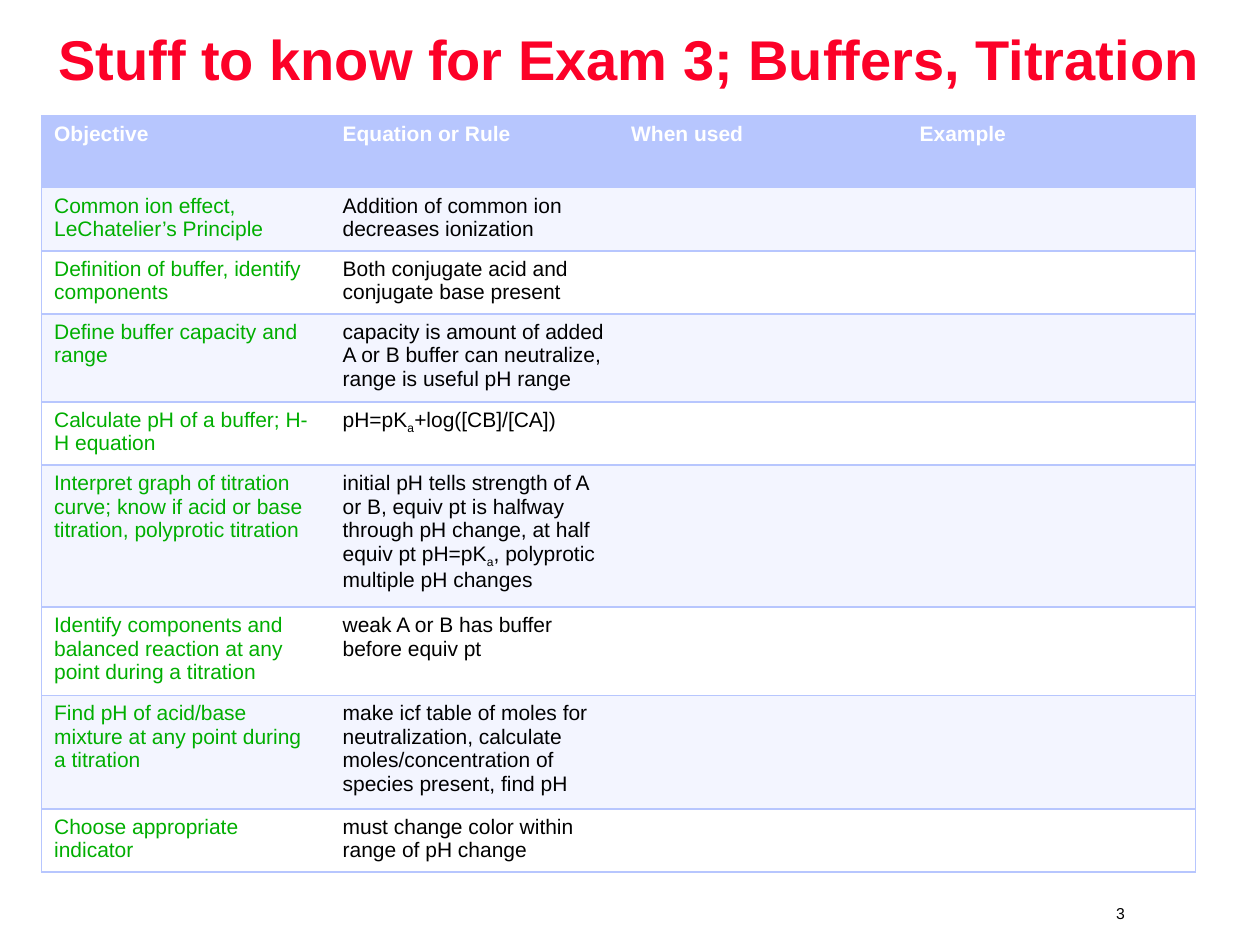
from lxml.etree import SubElement
from pptx import Presentation
from pptx.dml.color import RGBColor
from pptx.enum.text import MSO_ANCHOR, MSO_AUTO_SIZE, PP_ALIGN
from pptx.oxml.ns import qn
from pptx.util import Inches, Pt

COLORS = {
    "title": "FC0128",
    "header": "B7C6FE",
    "band": "F3F5FF",
    "plain": "FFFFFF",
    "header_text": "FFFFFF",
    "objective": "00AE00",
    "text": "000000",
}
TITLE = "Stuff to know for Exam 3; Buffers, Titration"
PAGE_NUMBER = "3"
HEADERS = ["Objective", "Equation or Rule", "When used", "Example"]

# Height, objective, rule; a rule is a list of spans, every second one a subscript.
TOPICS = [
    (0.5, "Common ion effect, LeChatelier’s Principle",
     ["Addition of common ion decreases ionization"]),
    (0.5, "Definition of buffer, identify components",
     ["Both conjugate acid and conjugate base present"]),
    (0.7, "Define buffer capacity and range",
     ["capacity is amount of added A or B buffer can neutralize, "
      "range is useful pH range"]),
    (0.5, "Calculate pH of a buffer; H-H equation",
     ["pH=pK", "a", "+log([CB]/[CA])"]),
    (1.1, "Interpret graph of titration curve; know if acid or base "
          "titration, polyprotic titration",
     ["initial pH tells strength of A or B, equiv pt is halfway through "
      "pH change, at half equiv pt pH=pK", "a",
      ", polyprotic multiple pH changes"]),
    (0.7, "Identify components and balanced reaction at any point "
          "during a titration",
     ["weak A or B has buffer before equiv pt"]),
    (0.9, "Find pH of acid/base mixture at any point during a titration",
     ["make icf table of moles for neutralization, calculate "
      "moles/concentration of species present, find pH"]),
    (0.5, "Choose appropriate indicator",
     ["must change color within range of pH change"]),
]
HEADER_HEIGHT = 0.57
COLUMN_WIDTH = 2.29


def rgb(name):
    return RGBColor.from_string(COLORS[name])


def write(paragraph, spans, size, color, bold=False):
    """Add the spans to the paragraph, every second one as a subscript."""
    for index, text in enumerate(spans):
        span = paragraph.add_run()
        span.text = text
        for name, value in {"name": "Arial", "size": Pt(size), "bold": bold}.items():
            setattr(span.font, name, value)
        span.font.color.rgb = rgb(color)
        if index % 2:
            span.font._element.set("baseline", "-25000")


def set_borders(cell, visible):
    """Draw the sides named in visible and blank the others."""
    properties = cell._tc.get_or_add_tcPr()
    for side in "LRTB":
        line = SubElement(properties, qn(f"a:ln{side}"), w=str(Pt(1)))
        if side in visible:
            fill = SubElement(line, qn("a:solidFill"))
            SubElement(fill, qn("a:srgbClr"), val=COLORS["header"])
        else:
            SubElement(line, qn("a:noFill"))


def add_title(page):
    title = page.shapes.title
    title.left, title.top = Inches(0.33), Inches(0.17)
    title.width, title.height = Inches(9.33), Inches(0.58)
    frame = title.text_frame
    frame.auto_size = MSO_AUTO_SIZE.NONE
    frame.vertical_anchor = MSO_ANCHOR.MIDDLE
    frame.paragraphs[0].alignment = PP_ALIGN.CENTER
    write(frame.paragraphs[0], [TITLE], 32, "title", bold=True)


def add_topic_table(page):
    heights = [HEADER_HEIGHT] + [height for height, _, _ in TOPICS]
    rows = [[[header] for header in HEADERS]]
    rows += [[[objective], rule, [], []] for _, objective, rule in TOPICS]
    last = len(HEADERS) - 1
    table = page.shapes.add_table(
        len(rows), len(HEADERS), Inches(0.33), Inches(0.92),
        Inches(COLUMN_WIDTH * len(HEADERS)), Inches(sum(heights))).table
    for column in table.columns:
        column.width = Inches(COLUMN_WIDTH)
    for r, (row, height) in enumerate(zip(rows, heights)):
        table.rows[r].height = Inches(height)
        fill = "header" if r == 0 else "band" if r % 2 else "plain"
        for c, spans in enumerate(row):
            cell = table.cell(r, c)
            set_borders(cell, "TB" + {0: "L", last: "R"}.get(c, ""))
            cell.fill.solid()
            cell.fill.fore_color.rgb = rgb(fill)
            color = "header_text" if r == 0 else "text" if c else "objective"
            write(cell.text_frame.paragraphs[0], spans, 12, color, bold=r == 0)


def add_page_number(page):
    box = page.shapes.add_textbox(Inches(8.76), Inches(7.12), Inches(0.36), Inches(0.25))
    box.text_frame.word_wrap = False
    write(box.text_frame.paragraphs[0], [PAGE_NUMBER], 9, "text")


def main():
    deck = Presentation()
    deck.slide_width, deck.slide_height = Inches(10), Inches(7.5)
    page = deck.slides.add_slide(deck.slide_layouts.get_by_name("Title Only"))
    add_page_number(page)
    add_title(page)
    add_topic_table(page)
    deck.save("out.pptx")


if __name__ == "__main__":
    main()
